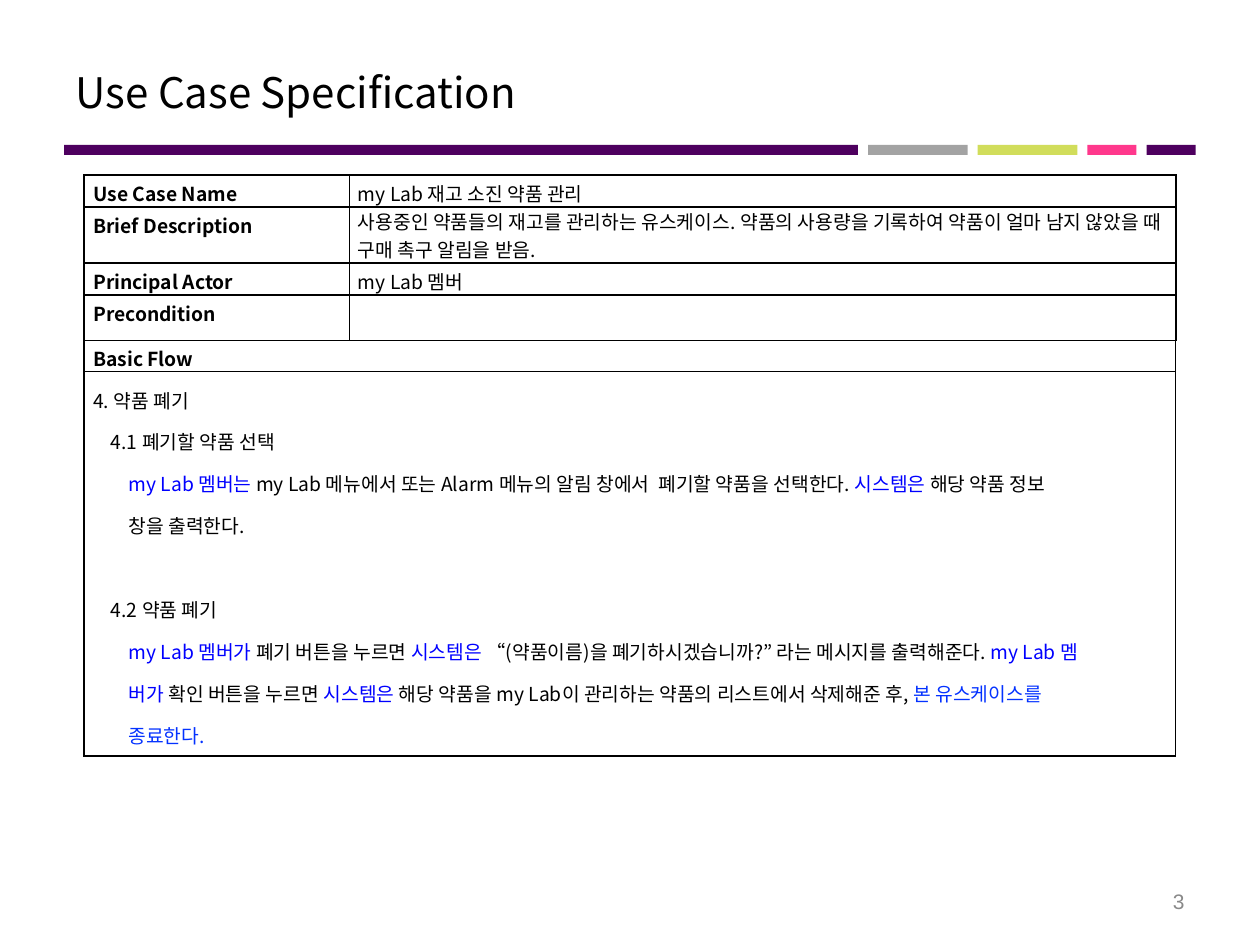
from lxml.etree import SubElement
from pptx import Presentation
from pptx.dml.color import RGBColor
from pptx.enum.shapes import MSO_SHAPE
from pptx.enum.text import MSO_ANCHOR, MSO_AUTO_SIZE, PP_ALIGN
from pptx.oxml import parse_xml
from pptx.oxml.ns import nsdecls, qn
from pptx.util import Inches, Pt

FONT = "Noto Sans CJK KR"
COLORS = {
    "purple": "4E005F", "gray": "A3A3A3", "lime": "D1DD5B", "pink": "FF388C",
    "black": "000000", "white": "FFFFFF", "number": "898989",
    "actor": "0000FF", "end": "0432FF",
}
TITLE = "Use Case Specification"
PAGE = "3"
BARS = [(6.3, "purple"), (0.79, "gray"), (0.79, "lime"), (0.39, "pink"), (0.39, "purple")]
BAR_LEFT, BAR_TOP, BAR_HEIGHT, BAR_GAP = 0.51, 1.15, 0.08, 0.08

FIELDS = [
    ("Use Case Name", "my Lab 재고 소진 약품 관리"),
    ("Brief Description", "사용중인 약품들의 재고를 관리하는 유스케이스. 약품의 사용량을 기록하여 "
                          "약품이 얼마 남지 않았을 때 구매 촉구 알림을 받음."),
    ("Principal Actor", "my Lab 멤버"),
    ("Precondition", ""),
    ("Basic Flow", None),
]
# (indent level, space before in points, [(text, color), ...])
FLOW = [
    (0, 0, [("4. 약품 폐기", "black")]),
    (1, 0, [("4.1 폐기할 약품 선택", "black")]),
    (2, 0, [("my Lab 멤버는 ", "actor"),
            ("my Lab 메뉴에서 또는 Alarm 메뉴의 알림 창에서  폐기할 약품을 선택한다. ", "black"),
            ("시스템은 ", "actor"), ("해당 약품 정보", "black")]),
    (2, 0, [("창을 출력한다.", "black")]),
    (1, 24, [("4.2 약품 폐기", "black")]),
    (2, 0, [("my Lab 멤버가 ", "actor"), ("폐기 버튼을 누르면 ", "black"),
            ("시스템은", "actor"),
            (" “(약품이름)을 폐기하시겠습니까?” 라는 메시지를 출력해준다.", "black"),
            (" my Lab 멤", "actor")]),
    (2, 0, [("버가 ", "actor"), ("확인 버튼을 누르면 ", "black"), ("시스템은 ", "actor"),
            ("해당 약품을 my Lab이 관리하는 약품의 리스트에서 삭제해준 후, ", "black"),
            ("본 유스케이스를", "end")]),
    (2, 0, [("종료한다.", "end")]),
]
COL_WIDTHS = [2.1, 6.56]
ROW_HEIGHTS = [0.25, 0.45, 0.25, 0.36, 0.25, 3.05]
THIN_RULES = (4, 5)  # horizontal rules above and below "Basic Flow"
THIN, THICK = 0.5, 1.25
INDENT = 0.14


def rgb(name):
    return RGBColor.from_string(COLORS[name])


def add_run(p, text, size, color="black", bold=False, font=FONT):
    r = p.add_run()
    r.text = text
    r.font.size, r.font.bold, r.font.name = Pt(size), bold, font
    r.font.color.rgb = rgb(color)
    SubElement(r.font._element, qn("a:ea")).set("typeface", font)


def set_margins(cell):
    cell.margin_left = cell.margin_right = Inches(0.07)
    cell.margin_top = cell.margin_bottom = 0


def fill_cell(cell, text, bold=False, justify=True):
    p = cell.text_frame.paragraphs[0]
    if justify:
        p.alignment, p.line_spacing = PP_ALIGN.JUSTIFY, 1.15
    if text:
        set_margins(cell)
        add_run(p, text, 11, bold=bold)
    else:
        p._p.append(parse_xml(
            f'<a:endParaRPr {nsdecls("a")} sz="1100"><a:latin typeface="{FONT}"/>'
            f'<a:ea typeface="{FONT}"/></a:endParaRPr>'))


def fill_flow(cell):
    set_margins(cell)
    tf = cell.text_frame
    for i, (level, before, runs) in enumerate(FLOW):
        p = tf.add_paragraph() if i else tf.paragraphs[0]
        p.alignment, p.line_spacing = PP_ALIGN.JUSTIFY, 1.5
        if before:
            p.space_before = Pt(before)
        p._p.get_or_add_pPr().set("marL", str(Inches(INDENT * level)))
        for text, color in runs:
            add_run(p, text, 11, color)


def set_borders(cell, widths):
    """Draw black borders; widths are points for left, right, top, bottom."""
    tcPr = cell._tc.get_or_add_tcPr()
    for i, (side, width) in enumerate(zip("LRTB", widths)):
        tcPr.insert(i, parse_xml(
            f'<a:ln{side} {nsdecls("a")} w="{Pt(width)}"><a:solidFill>'
            f'<a:srgbClr val="{COLORS["black"]}"/></a:solidFill></a:ln{side}>'))


def add_bars(s):
    left = BAR_LEFT
    for width, color in BARS:
        sp = s.shapes.add_shape(MSO_SHAPE.RECTANGLE, Inches(left), Inches(BAR_TOP),
                                Inches(width), Inches(BAR_HEIGHT))
        sp.shadow.inherit = False
        sp.fill.solid()
        sp.fill.fore_color.rgb = rgb(color)
        sp.line.fill.background()
        left += width + BAR_GAP


def add_page_number(s):
    tf = s.shapes.add_textbox(Inches(7.17), Inches(6.95), Inches(2.33), Inches(0.4)).text_frame
    tf.word_wrap, tf.vertical_anchor = True, MSO_ANCHOR.MIDDLE
    p = tf.paragraphs[0]
    p.alignment = PP_ALIGN.RIGHT
    add_run(p, PAGE, 12, "number", font="Arial")


def add_title(s):
    title = s.shapes.title
    title.left, title.top, title.width, title.height = map(Inches, (0.5, 0.3, 9, 0.85))
    tf = title.text_frame
    tf.auto_size, tf.vertical_anchor = MSO_AUTO_SIZE.NONE, MSO_ANCHOR.MIDDLE
    p = tf.paragraphs[0]
    p.alignment = PP_ALIGN.LEFT
    add_run(p, TITLE, 24)


def add_use_case_table(s):
    rows, cols = len(ROW_HEIGHTS), len(COL_WIDTHS)
    table = s.shapes.add_table(rows, cols, Inches(0.67), Inches(1.39),
                               Inches(sum(COL_WIDTHS)), Inches(sum(ROW_HEIGHTS))).table
    table.first_row = table.horz_banding = False
    for col, width in zip(table.columns, COL_WIDTHS):
        col.width = Inches(width)
    for row, height in zip(table.rows, ROW_HEIGHTS):
        row.height = Inches(height)

    rules = [THIN if i in THIN_RULES else THICK for i in range(rows + 1)]
    for i in range(rows):
        for j in range(cols):
            cell = table.cell(i, j)
            cell.fill.solid()
            cell.fill.fore_color.rgb = rgb("white")
            sides = (THIN, THICK) if j else (THICK, THIN)
            set_borders(cell, (*sides, rules[i], rules[i + 1]))

    for i in (rows - 2, rows - 1):
        table.cell(i, 0).merge(table.cell(i, 1))
    for i, (label, value) in enumerate(FIELDS):
        fill_cell(table.cell(i, 0), label, bold=True)
        if value is not None:
            fill_cell(table.cell(i, 1), value, justify=label != "Brief Description")
    fill_flow(table.cell(rows - 1, 0))


def main():
    prs = Presentation()
    prs.slide_width, prs.slide_height = Inches(10), Inches(7.5)
    s = prs.slides.add_slide(prs.slide_layouts[5])
    add_bars(s)
    add_page_number(s)
    add_title(s)
    add_use_case_table(s)
    prs.save("out.pptx")


if __name__ == "__main__":
    main()
